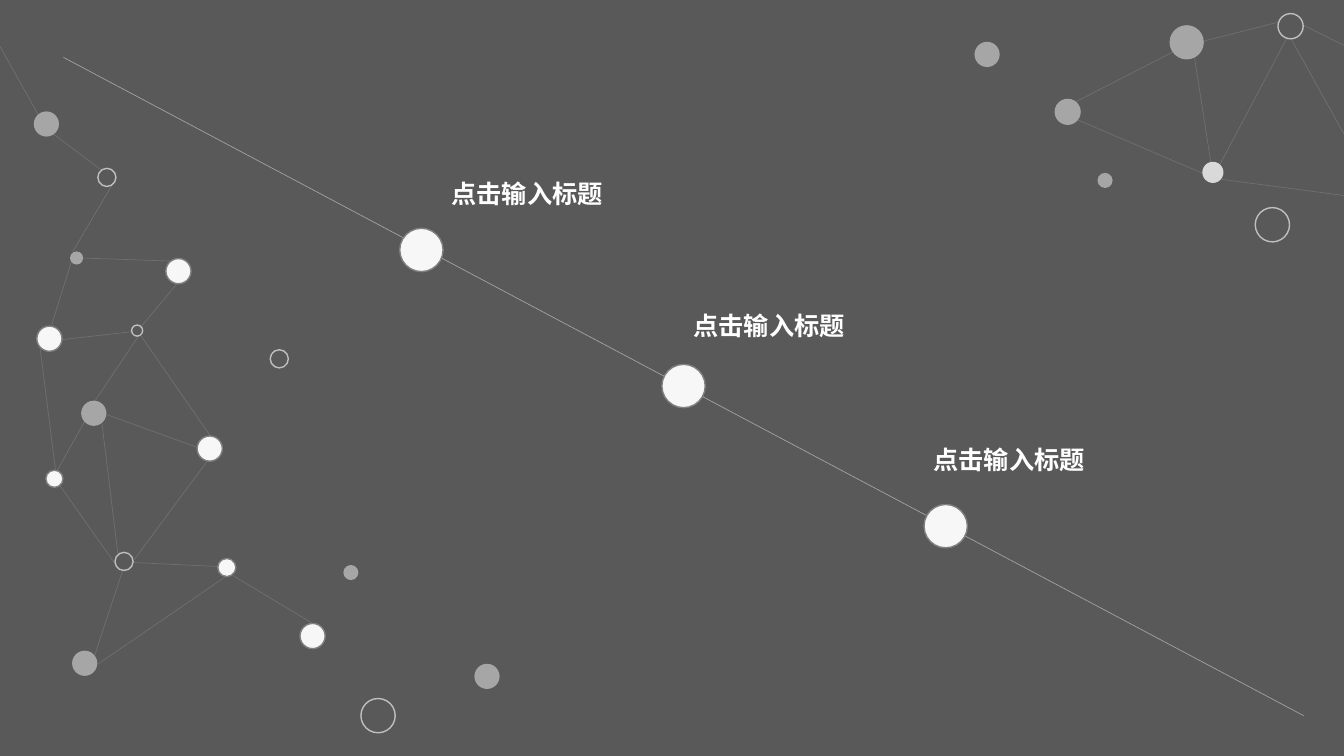
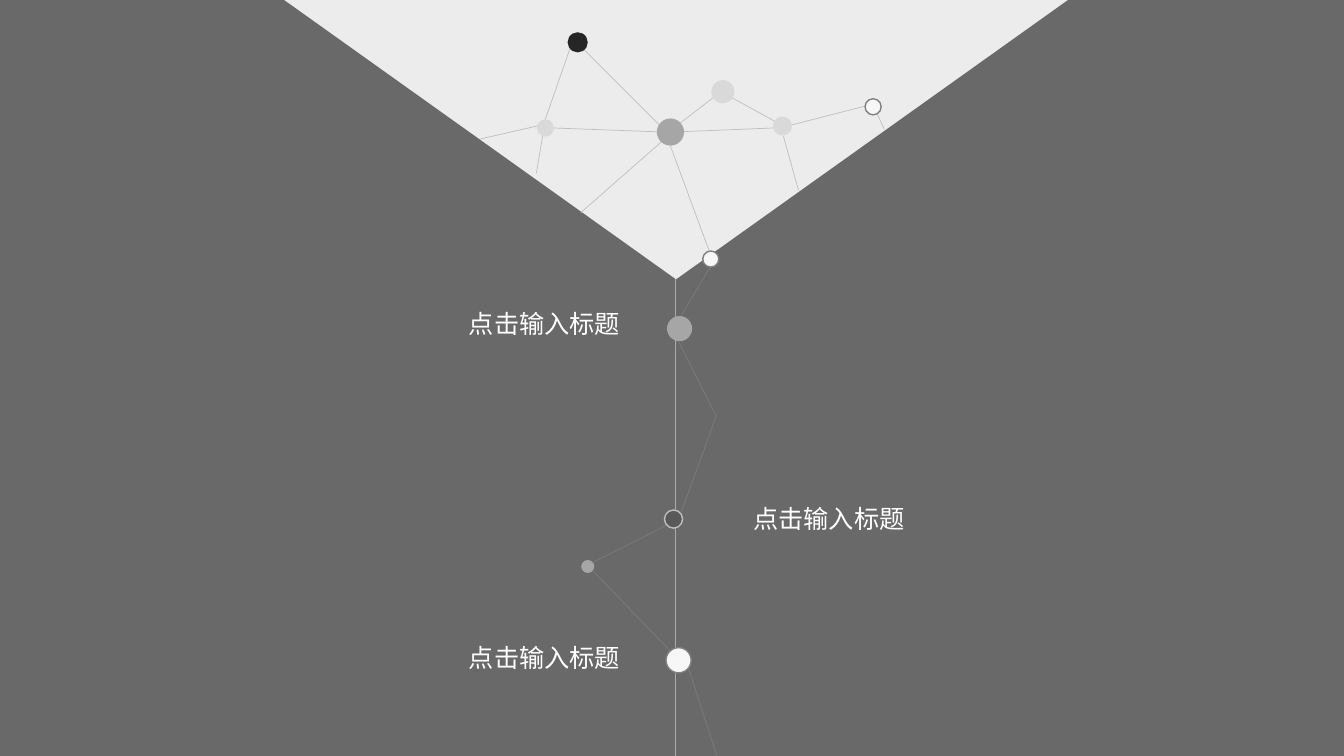
from lxml import etree
from pptx import Presentation
from pptx.dml.color import RGBColor
from pptx.enum import shapes, text
from pptx.oxml import ns
from pptx.util import Inches, Pt

WHITE = RGBColor(0xFF, 0xFF, 0xFF)
SNOW = RGBColor(0xF7, 0xF7, 0xF7)
MIST = RGBColor(0xEC, 0xEC, 0xEC)
PALE = RGBColor(0xD9, 0xD9, 0xD9)
SILVER = RGBColor(0xBF, 0xBF, 0xBF)
GREY = RGBColor(0xA6, 0xA6, 0xA6)
STEEL = RGBColor(0x80, 0x80, 0x80)
SLATE = RGBColor(0x69, 0x69, 0x69)
CHARCOAL = RGBColor(0x59, 0x59, 0x59)
INK = RGBColor(0x26, 0x26, 0x26)

WIDTH, HEIGHT = 13.33, 7.5
HEADING = "点击输入标题"
FAINT, AXIS = 21, 43  # line opacity in percent

# Each dot style is a fill and an outline
RING = (CHARCOAL, SILVER)
BRIGHT = (SNOW, STEEL)
SOLID = (GREY, None)
LIGHT = (PALE, None)
DARK = (INK, None)


class Deck:
    """Holds the shared style and the slide being drawn."""

    def __init__(self):
        self.prs = Presentation()
        self.prs.slide_width = Inches(WIDTH)
        self.prs.slide_height = Inches(HEIGHT)
        self.slide = None

    def new_slide(self, background):
        self.slide = self.prs.slides.add_slide(self.prs.slide_layouts[6])
        fill = self.slide.background.fill
        fill.solid()
        fill.fore_color.rgb = background

    def shape(self, kind, left, top, width, height, fill, outline=None):
        shape = self.slide.shapes.add_shape(
            kind, Inches(left), Inches(top), Inches(width), Inches(height))
        shape.shadow.inherit = False
        shape.fill.solid()
        shape.fill.fore_color.rgb = fill
        if outline is None:
            shape.line.fill.background()
        else:
            shape.line.color.rgb = outline
            shape.line.width = Pt(1)
        return shape

    def dots(self, style, dots):
        """Draw dots given as (centre x, centre y, diameter)."""
        for x, y, size in dots:
            self.shape(shapes.MSO_SHAPE.OVAL, x - size / 2, y - size / 2,
                       size, size, *style)

    def line(self, x1, y1, x2, y2, color=SILVER, opacity=100):
        line = self.slide.shapes.add_connector(
            shapes.MSO_CONNECTOR.STRAIGHT,
            Inches(x1), Inches(y1), Inches(x2), Inches(y2))
        line.line.color.rgb = color
        line.line.width = Pt(0.5)
        properties = line._element.spPr
        if opacity < 100:
            rgb = properties.find(".//" + ns.qn("a:srgbClr"))
            etree.SubElement(rgb, ns.qn("a:alpha"), val=str(opacity * 1000))
        etree.SubElement(properties, ns.qn("a:effectLst"))

    def links(self, ends, opacity=100):
        for link in ends:
            self.line(*link, opacity=opacity)

    def label(self, words, left, top, bold=False, align=text.PP_ALIGN.LEFT):
        box = self.slide.shapes.add_textbox(
            Inches(left), Inches(top), Inches(2.62), Inches(0.4))
        frame = box.text_frame
        frame.word_wrap = True
        frame.auto_size = text.MSO_AUTO_SIZE.SHAPE_TO_FIT_TEXT
        paragraph = frame.paragraphs[0]
        paragraph.alignment = align
        run = paragraph.add_run()
        run.text = words
        run.font.name = "Arial"
        run.font.size = Pt(18)
        run.font.bold = bold
        run.font.color.rgb = WHITE


def diagonal_timeline(deck):
    deck.new_slide(CHARCOAL)
    deck.line(0.63, 0.57, 12.93, 7.1, WHITE, AXIS)

    left_network = [
        (0, 0.46, 0.38, 1.14), (0.53, 1.33, 1.01, 1.69),
        (1.12, 1.82, 0.72, 2.5), (0.82, 2.56, 1.69, 2.59),
        (0.71, 2.59, 0.51, 3.23), (0.62, 3.37, 1.31, 3.29),
        (0.94, 3.98, 1.37, 3.34), (1.4, 3.24, 1.76, 2.81),
        (0.39, 3.39, 0.55, 4.66), (0.84, 4.18, 0.51, 4.77),
        (1.01, 4.19, 1.17, 5.5), (2.09, 4.33, 1.39, 3.32),
        (1.05, 4.11, 1.96, 4.44), (1.16, 5.62, 0.59, 4.81),
        (0.94, 6.5, 1.22, 5.65), (2.06, 4.57, 1.31, 5.58),
        (1.31, 5.58, 2.16, 5.62), (2.31, 5.71, 3.11, 6.19),
        (2.24, 5.72, 0.97, 6.59),
    ]
    right_network = [
        (11.85, 0.43, 12.72, 0.21), (WIDTH, 0.45, 12.93, 0.25),
        (WIDTH, 1.94, 12.12, 1.78), (WIDTH, 1.33, 12.73, 0.25),
        (12.81, 0.29, 12.1, 1.63), (12.02, 1.68, 11.84, 0.52),
        (10.67, 1.01, 11.8, 0.43), (10.69, 1.19, 12, 1.75),
    ]
    deck.links(left_network + right_network, FAINT)

    deck.dots(RING, [
        (1.06, 1.76, 0.18), (1.23, 5.57, 0.18), (2.77, 3.56, 0.18),
        (1.36, 3.28, 0.11), (3.75, 7.1, 0.34), (12.8, 0.26, 0.25),
        (12.62, 2.23, 0.34)])
    deck.dots(SOLID, [
        (0.46, 1.23, 0.25), (0.93, 4.1, 0.25), (0.76, 2.56, 0.13),
        (0.84, 6.58, 0.25), (4.83, 6.71, 0.25), (3.48, 5.68, 0.15),
        (10.59, 1.11, 0.26), (11.77, 0.42, 0.34), (9.79, 0.54, 0.25),
        (10.96, 1.79, 0.15)])
    deck.dots(LIGHT, [(12.03, 1.71, 0.21)])
    deck.dots(BRIGHT, [
        (0.49, 3.36, 0.25), (2.08, 4.45, 0.25), (1.77, 2.69, 0.25),
        (0.54, 4.75, 0.17), (2.25, 5.63, 0.18), (3.1, 6.31, 0.25)])

    milestones = [(2.48, 4.38, 1.72), (3.83, 6.78, 3.03), (5.22, 9.16, 4.36)]
    for step, (y, label_left, label_top) in enumerate(milestones):
        deck.dots(BRIGHT, [(4.18 + 2.6 * step, y, 0.43)])
        deck.label(HEADING, label_left, label_top, bold=True)


def vertical_timeline(deck):
    deck.new_slide(SLATE)
    funnel = deck.shape(shapes.MSO_SHAPE.ISOSCELES_TRIANGLE,
                        2.82, 0, 7.77, 2.77, MIST)
    funnel.rotation = 180
    deck.line(6.7, 2.77, 6.7, HEIGHT, WHITE, AXIS)

    deck.links([
        (7.05, 2.64, 6.75, 3.14), (6.73, 3.39, 7.1, 4.12),
        (7.11, 4.11, 6.75, 5.1), (6.61, 5.21, 5.88, 5.58),
        (5.79, 5.57, 6.65, 6.46), (6.81, 6.57, 7.11, HEIGHT)], FAINT)
    deck.links([
        (8.77, 1.28, 8.7, 1.13), (7.85, 1.24, 8.59, 1.05),
        (7.68, 1.2, 7.15, 0.91), (6.67, 1.28, 7.15, 0.91),
        (6.67, 1.31, 7.67, 1.27), (6.65, 1.45, 7.06, 2.56),
        (5.41, 1.18, 5.65, 0.49), (5.32, 1.72, 5.41, 1.18),
        (4.76, 1.38, 5.37, 1.24), (6.58, 1.28, 5.79, 0.49),
        (6.58, 1.31, 5.49, 1.27), (5.76, 2.11, 6.58, 1.39),
        (7.92, 1.89, 7.77, 1.35)])

    deck.dots(RING, [(6.68, 5.15, 0.18)])
    deck.dots(SOLID, [
        (6.74, 3.26, 0.25), (5.83, 5.62, 0.13), (6.65, 1.31, 0.27)])
    deck.dots(BRIGHT, [
        (6.73, 6.55, 0.25), (7.05, 2.57, 0.16), (8.66, 1.06, 0.16)])
    deck.dots(LIGHT, [
        (5.41, 1.27, 0.17), (7.17, 0.91, 0.23), (7.76, 1.25, 0.19)])
    deck.dots(DARK, [(5.73, 0.42, 0.2)])

    for left, top in [(4.09, 3.01), (6.91, 4.94), (4.09, 6.32)]:
        deck.label(HEADING, left, top, align=text.PP_ALIGN.CENTER)


def main():
    deck = Deck()
    diagonal_timeline(deck)
    vertical_timeline(deck)
    deck.prs.save("out.pptx")


if __name__ == "__main__":
    main()
